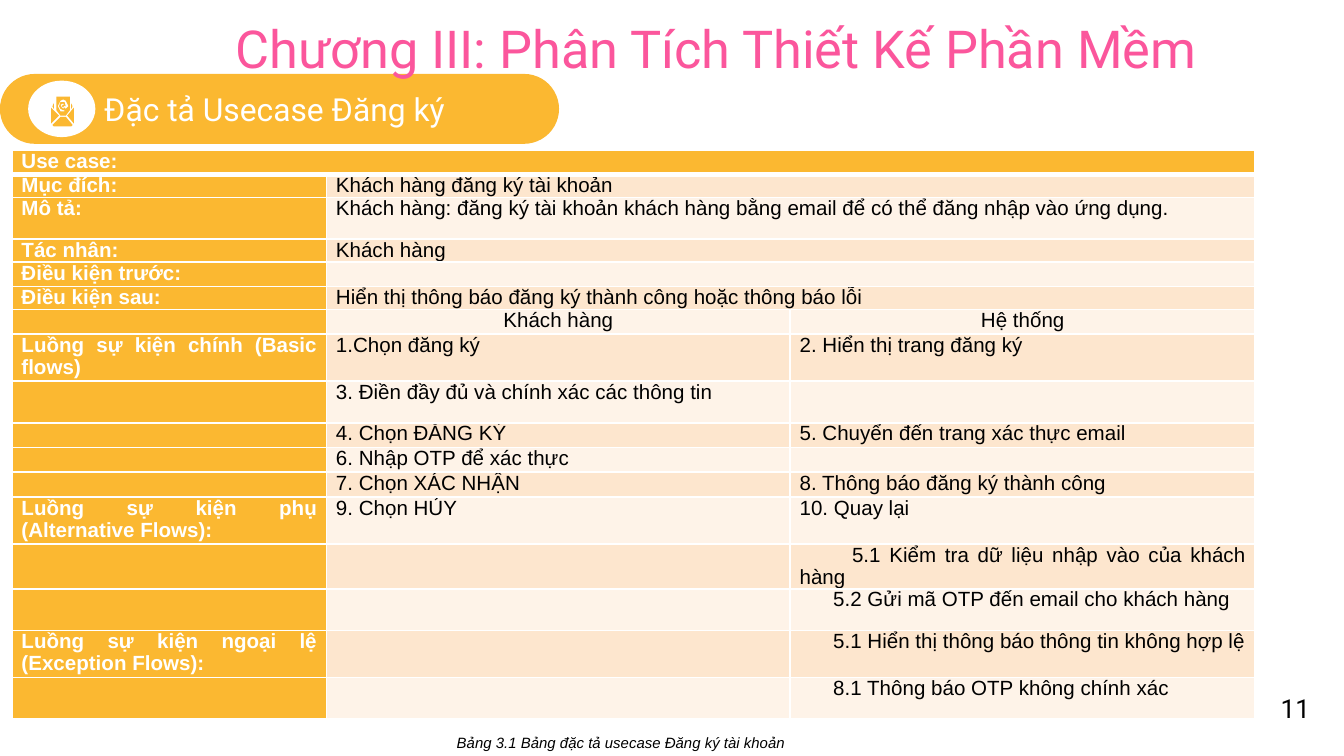
import pptx
import pptx.util
import pptx.dml.color
import pptx.enum.shapes
import pptx.enum.text
import lxml.etree

Inches, Pt = pptx.util.Inches, pptx.util.Pt
SHAPE = pptx.enum.shapes.MSO_SHAPE
ALIGN = pptx.enum.text.PP_ALIGN
ANCHOR = pptx.enum.text.MSO_ANCHOR
NS = "http://schemas.openxmlformats.org/drawingml/2006/main"

# Content
ORANGE, WHITE, BLACK, PINK = "FBB831", "FFFFFF", "000000", "FB569C"
BANDS = ("FDE6CE", "FEF3E8")
TITLE = "Chương III: Phân Tích Thiết Kế Phần Mềm"
HEADING = "Đặc tả Usecase Đăng ký"
CAPTION = "Bảng 3.1 Bảng đặc tả usecase Đăng ký tài khoản"
PAGE = "11"

COLS = (2.34, 3.45, 3.46)
LOW, MID, HIGH = 0.17, 0.31, 0.35
# Row height, then cells; a short row spans its last cell to the right edge
ROWS = [
    (0.18, "Use case:"),
    (LOW, "Mục đích:", "Khách hàng đăng ký tài khoản"),
    (MID, "Mô tả:", "Khách hàng: đăng ký tài khoản khách hàng bằng email "
                    "để có thể đăng nhập vào ứng dụng."),
    (LOW, "Tác nhân:", "Khách hàng"),
    (LOW, "Điều kiện trước:", ""),
    (LOW, "Điều kiện sau:", "Hiển thị thông báo đăng ký thành công hoặc thông báo lỗi"),
    (LOW, "", "Khách hàng", "Hệ thống"),
    (HIGH, "Luồng sự kiện chính (Basic flows)", "1.Chọn đăng ký", "2. Hiển thị trang đăng ký"),
    (MID, "", "3. Điền đầy đủ và chính xác các thông tin", ""),
    (LOW, "", "4. Chọn ĐĂNG KÝ", "5. Chuyển đến trang xác thực email"),
    (LOW, "", "6. Nhập OTP để xác thực", ""),
    (LOW, "", "7. Chọn XÁC NHẬN", "8. Thông báo đăng ký thành công"),
    (HIGH, "Luồng sự kiện phụ (Alternative Flows):", "9. Chọn HỦY", "10. Quay lại"),
    (MID, "", "", "5.1 Kiểm tra dữ liệu nhập vào của khách hàng"),
    (MID, "", "", "5.2 Gửi mã OTP đến email cho khách hàng"),
    (HIGH, "Luồng sự kiện ngoại lệ (Exception Flows):", "",
     "5.1 Hiển thị thông báo thông tin không hợp lệ"),
    (MID, "", "", "8.1 Thông báo OTP không chính xác"),
]
ACTOR_ROW = 6
# First-line indents of the branch steps, by row
INDENTS = {13: 0.39, 14: 0.25, 15: 0.25, 16: 0.25}

# Envelope icon: each part is a list of contours, in hundredths of an inch
ENVELOPE = [
    [[(38, 80), (38, 92), (44, 86)]],
    [[(55, 80), (50, 86), (55, 92)]],
    [[(45, 87), (39, 93), (40, 94), (53, 94), (54, 93), (49, 87)]],
    [[(40, 77), (39, 79), (40, 81)]],
    [[(53, 77), (53, 81), (54, 79)]],
    [[(47, 78), (46, 79), (47, 79.5), (47.5, 78.5)]],
    [[(42, 72), (42, 82), (45, 86), (49, 86), (52, 82), (52, 72)],
     [(47, 74), (49, 75), (51, 79), (49, 81), (48, 80), (47, 81), (46, 80),
      (45, 78), (47, 77), (48, 79), (49, 79), (48, 76), (47, 75.5), (45, 76),
      (44, 79), (45, 81), (47, 82), (48, 82), (48, 83), (47, 83), (45, 83),
      (43, 79), (45, 75)]],
]


def rgb(value):
    return pptx.dml.color.RGBColor.from_string(value)


def write(p, text, color, **font):
    r = p.add_run()
    r.text = text
    r.font.color.rgb = rgb(color)
    for name, value in font.items():
        setattr(r.font, name, value)


def paint(s, color):
    s.shadow.inherit = False
    s.fill.solid()
    s.fill.fore_color.rgb = rgb(color)
    s.line.fill.background()
    return s


def add_shape(kind, box, color):
    return paint(slide.shapes.add_shape(kind, *map(Inches, box)), color)


def add_label(box, text, color, wrap=False, align=ALIGN.LEFT, **font):
    tf = slide.shapes.add_textbox(*map(Inches, box)).text_frame
    tf.word_wrap = wrap
    if wrap:
        tf.vertical_anchor = ANCHOR.MIDDLE
    tf.paragraphs[0].alignment = align
    write(tf.paragraphs[0], text, color, **font)


def set_borders(cell, bottom):
    tc_pr = cell._tc.get_or_add_tcPr()
    for i, (side, width) in enumerate((("L", 1), ("R", 1), ("T", 1), ("B", bottom))):
        ln = lxml.etree.Element(f"{{{NS}}}ln{side}", w=str(Pt(width)))
        fill = lxml.etree.SubElement(ln, f"{{{NS}}}solidFill")
        lxml.etree.SubElement(fill, f"{{{NS}}}srgbClr", val=WHITE)
        tc_pr.insert(i, ln)


def fill_cell(cell, row, col, text):
    cell.fill.solid()
    cell.fill.fore_color.rgb = rgb(BANDS[(row - 1) % 2] if row and col else ORANGE)
    set_borders(cell, 3 if row == 0 else 1)
    margins = dict(margin_left=0.07, margin_right=0.07, margin_top=0, margin_bottom=0)
    for name, value in margins.items():
        setattr(cell, name, Inches(value))
    p = cell.text_frame.paragraphs[0]
    p.line_spacing = Pt(12)
    if not text:
        lxml.etree.SubElement(p._p, f"{{{NS}}}endParaRPr", sz="1100")
        return
    p.space_after = Pt(6)
    p.alignment = (ALIGN.LEFT if row == 0 else
                   ALIGN.CENTER if row == ACTOR_ROW else ALIGN.JUSTIFY)
    if col == 2 and row in INDENTS:
        p._p.get_or_add_pPr().set("indent", str(Inches(INDENTS[row])))
    write(p, text, BLACK if col else WHITE, size=Pt(11), name="Arial", bold=col == 0)


prs = pptx.Presentation()
prs.slide_width = Inches(10)
prs.slide_height = prs.slide_width * 9 // 16
slide = prs.slides.add_slide(prs.slide_layouts[6])

# Heading pill with its icon
s = add_shape(SHAPE.ROUNDED_RECTANGLE, (0, 0.55, 4.16, 0.52), ORANGE)
s.adjustments[0] = 0.5
tf = s.text_frame
tf.margin_left = Inches(0.7)
tf.vertical_anchor = ANCHOR.MIDDLE
tf.paragraphs[0].alignment = ALIGN.LEFT
write(tf.paragraphs[0], HEADING, WHITE, size=Pt(17), name="Roboto")
add_shape(SHAPE.OVAL, (0.21, 0.6, 0.5, 0.42), WHITE)
for contours in ENVELOPE:
    builder = slide.shapes.build_freeform(*contours[0][0], scale=Inches(0.01))
    for i, points in enumerate(contours):
        if i:
            builder.move_to(*points[0])
        builder.add_line_segments(points[1:], close=True)
    paint(builder.convert_to_shape(), ORANGE)

# Title
add_label((1.1, 0.09, 8.45, 0.53), TITLE, PINK, wrap=True, align=ALIGN.CENTER,
          size=Pt(28), name="Roboto")

# Use case table
heights = [row[0] for row in ROWS]
box = (0.09, 1.12, sum(COLS), sum(heights))
table = slide.shapes.add_table(len(ROWS), len(COLS), *map(Inches, box)).table
table.first_row = table.horz_banding = False
for column, width in zip(table.columns, COLS):
    column.width = Inches(width)
for i, (height, *texts) in enumerate(ROWS):
    table.rows[i].height = Inches(height)
    last = len(texts) - 1
    if last < len(COLS) - 1:
        table.cell(i, last).merge(table.cell(i, len(COLS) - 1))
    for j in range(len(COLS)):
        fill_cell(table.cell(i, j), i, min(j, last), texts[j] if j <= last else "")

# Page number and caption
add_label((9.43, 5.1, 0.42, 0.34), PAGE, BLACK, size=Pt(14), name="Roboto")
add_label((3.3, 5.41, 2.71, 0.24), CAPTION, BLACK, size=Pt(8), name="Arial", italic=True)

prs.save("out.pptx")
